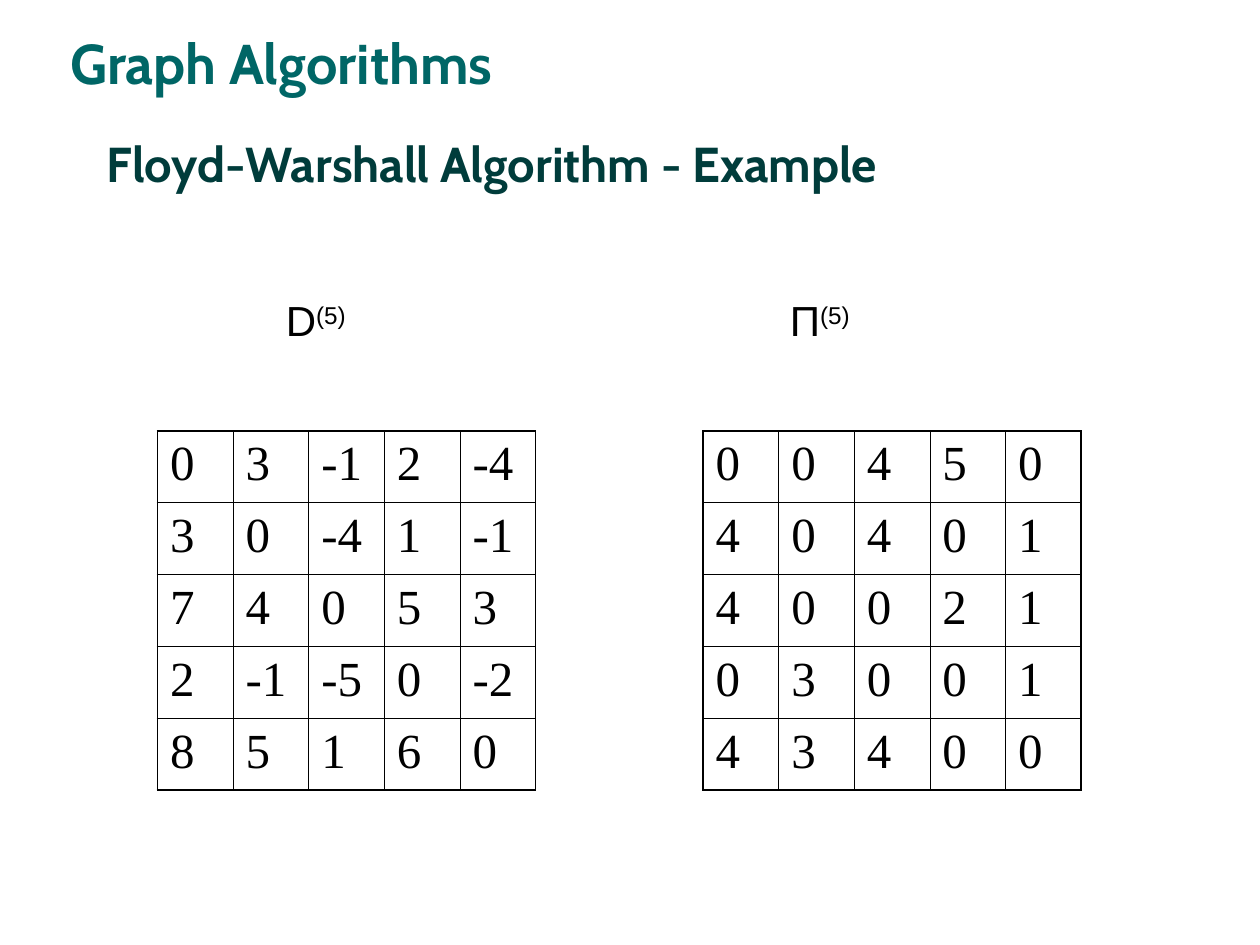
from lxml import etree
from pptx import Presentation
from pptx import util as u
from pptx.dml.color import RGBColor
from pptx.enum import text
from pptx.oxml import ns

COLORS = {"heading": "006666", "title": "003C3B", "ink": "000000"}
HEADINGS = [
    ("Graph Algorithms", "heading", 32, (0.46, 0.17, 4.16, 0.64)),
    ("Floyd-Warshall Algorithm - Example", "title", 28, (0.75, 0.67, 9.25, 1.25)),
]
LABELS = [("\tD", False), ("(5)", True), ("\tΠ", False), ("(5)", True)]
LABEL_TABS = [1, 5]
DISTANCES = [
    [0, 3, -1, 2, -4],
    [3, 0, -4, 1, -1],
    [7, 4, 0, 5, 3],
    [2, -1, -5, 0, -2],
    [8, 5, 1, 6, 0],
]
PREDECESSORS = [
    [0, 0, 4, 5, 0],
    [4, 0, 4, 0, 1],
    [4, 0, 0, 2, 1],
    [0, 3, 0, 0, 1],
    [4, 3, 4, 0, 0],
]
MATRICES = [(1.25, DISTANCES), (5.58, PREDECESSORS)]
MATRIX_TOP, COLUMN_WIDTH, ROW_HEIGHT = 3.42, 0.6, 0.57
OUTER_LINE, INNER_LINE = 1.08, 0.45


def set_font(paragraph, name, size, color, bold=False):
    font = paragraph.font
    font.name, font.size, font.bold = name, u.Pt(size), bold
    font.color.rgb = RGBColor.from_string(COLORS[color])


def add_box(page, place):
    box = page.shapes.add_textbox(*map(u.Inches, place))
    box.text_frame.word_wrap = True
    return box.text_frame


def add_labels(page):
    para = add_box(page, (1.17, 2.29, 5.7, 0.5)).paragraphs[0]
    tabs = etree.SubElement(para._p.get_or_add_pPr(), ns.qn("a:tabLst"))
    for stop in LABEL_TABS:
        etree.SubElement(tabs, ns.qn("a:tab"), pos=str(u.Inches(stop)), algn="l")
    set_font(para, "Arial", 24, "ink")
    for words, raised in LABELS:
        span = para.add_run()
        span.text = words
        if raised:
            span._r.get_or_add_rPr().set("baseline", "30000")


def set_border(cell, side, width):
    line = etree.SubElement(cell._tc.get_or_add_tcPr(), ns.qn("a:ln" + side),
                            w=str(u.Pt(width)))
    fill = etree.SubElement(line, ns.qn("a:solidFill"))
    etree.SubElement(fill, ns.qn("a:srgbClr"), val=COLORS["ink"])


def add_matrix(page, left, rows):
    size = len(rows)
    table = page.shapes.add_table(
        size, size, u.Inches(left), u.Inches(MATRIX_TOP),
        u.Inches(COLUMN_WIDTH * size), u.Inches(ROW_HEIGHT * size)).table
    table.first_row = table.horz_banding = False
    for i, row in enumerate(rows):
        for j, value in enumerate(row):
            cell = table.cell(i, j)
            cell.text = str(value)
            set_font(cell.text_frame.paragraphs[0], "Times New Roman", 28, "ink")
            outer = {"L": j == 0, "R": j == size - 1, "T": i == 0, "B": i == size - 1}
            for side, at_edge in outer.items():
                set_border(cell, side, OUTER_LINE if at_edge else INNER_LINE)
            cell.fill.background()


def main():
    deck = Presentation()
    deck.slide_width, deck.slide_height = u.Inches(10), u.Inches(7.5)
    page = deck.slides.add_slide(deck.slide_layouts[6])
    for words, color, size, place in HEADINGS:
        frame = add_box(page, place)
        frame.vertical_anchor = text.MSO_ANCHOR.MIDDLE
        frame.text = words
        set_font(frame.paragraphs[0], "Cabin", size, color, bold=True)
    for left, rows in MATRICES:
        add_matrix(page, left, rows)
    add_labels(page)
    deck.save("out.pptx")


if __name__ == "__main__":
    main()
